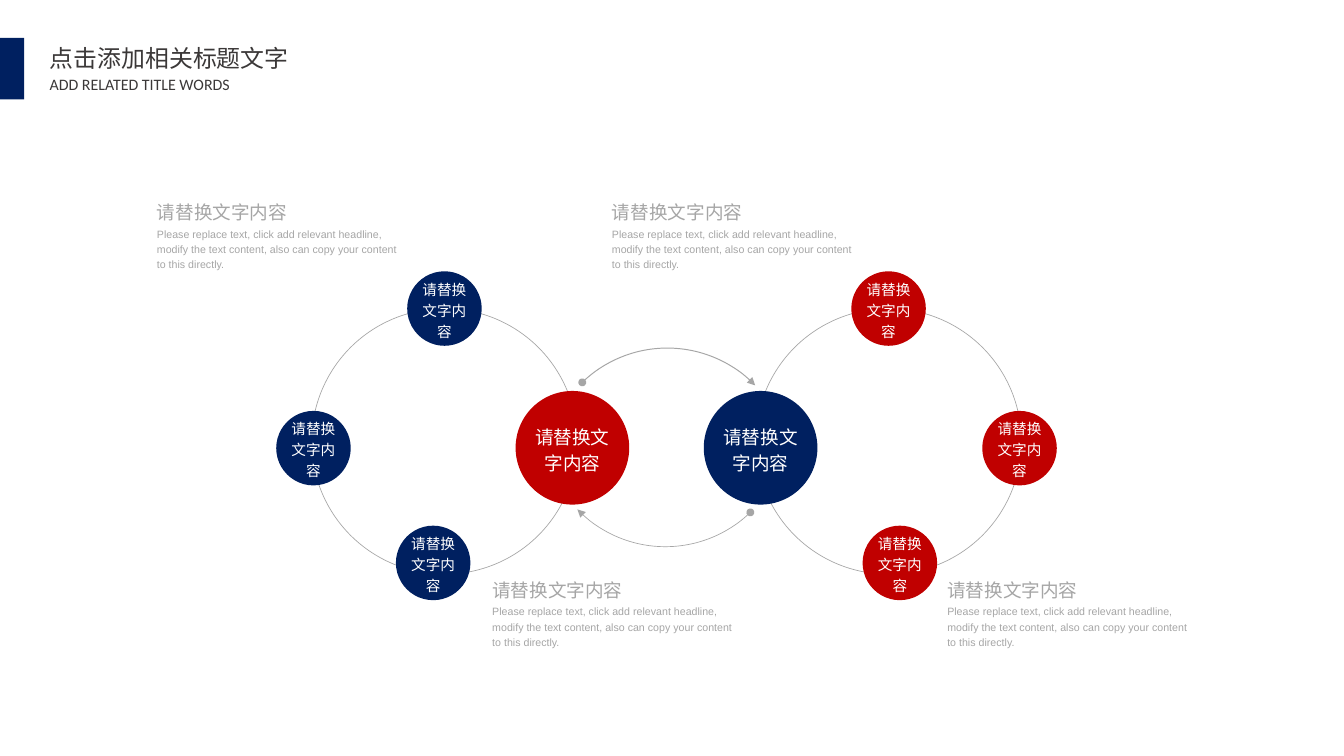
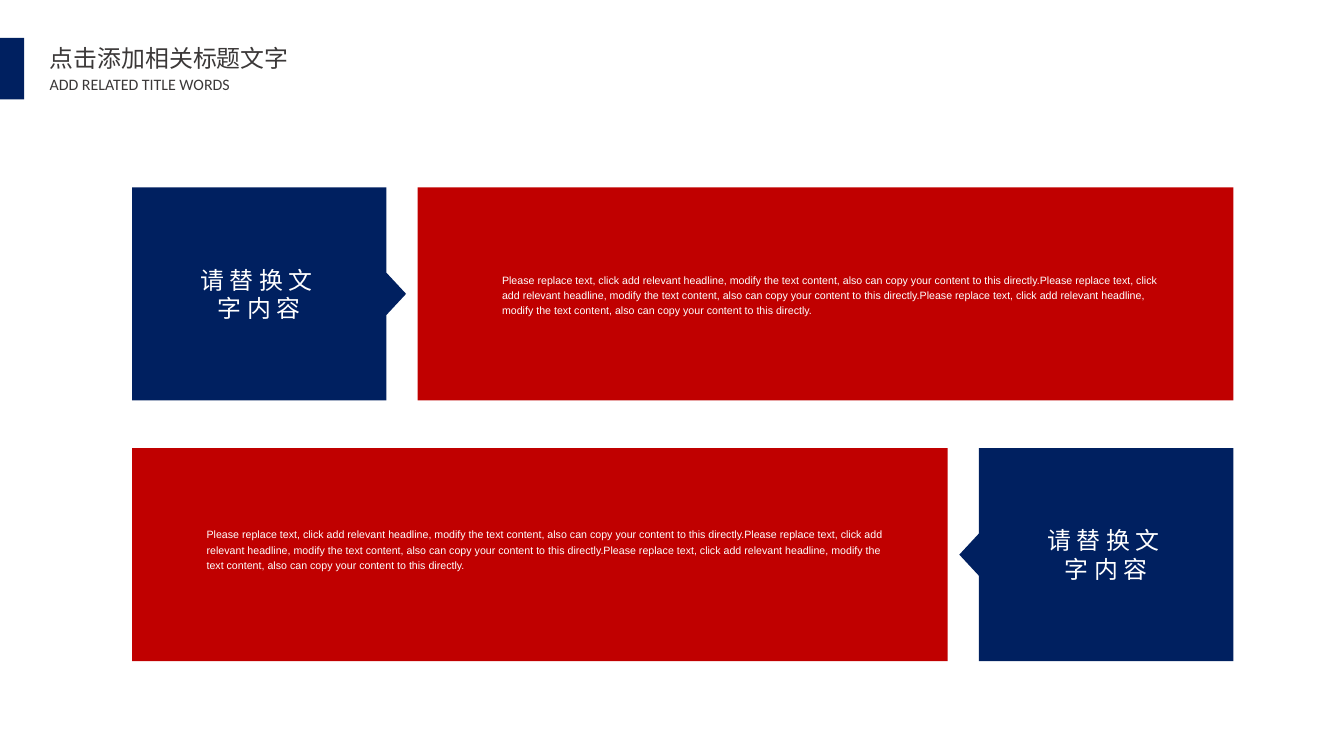
import pptx
import pptx.util
import pptx.dml.color
import pptx.enum.shapes
import pptx.enum.text
import pptx.oxml
import pptx.oxml.ns

Cm = pptx.util.Cm
Pt = pptx.util.Pt
RGB = pptx.dml.color.RGBColor
SHAPE = pptx.enum.shapes.MSO_SHAPE
ALIGN = pptx.enum.text.PP_ALIGN
ANCHOR = pptx.enum.text.MSO_ANCHOR
FIT = pptx.enum.text.MSO_AUTO_SIZE

NAVY = RGB(0x00, 0x20, 0x60)
RED = RGB(0xC0, 0x00, 0x00)
GREY = RGB(0xA6, 0xA6, 0xA6)
DARK = RGB(0x3B, 0x38, 0x38)
WHITE = RGB(0xFF, 0xFF, 0xFF)

LABEL = "请替换文字内容"
DETAIL = ("Please replace text, click add relevant headline, modify the text "
          "content, also can copy your content to this directly.")


class Deck:
    cjk = "Noto Sans CJK SC"

    def __init__(self, width, height):
        self.prs = pptx.Presentation()
        self.prs.slide_width = Cm(width)
        self.prs.slide_height = Cm(height)
        self.layout = self.prs.slide_layouts[5]
        self.s = None
        self.banded = False

    def slide(self, title, subtitle):
        self.s = self.prs.slides.add_slide(self.layout)
        if not self.banded:
            bar = self.shape(SHAPE.RECTANGLE, 0, 1.01, 0.64, 1.63, NAVY)
            self.layout.element.cSld.spTree.append(bar.element)
            self.banded = True
        sp = self.s.shapes.title
        sp.left, sp.top, sp.width, sp.height = map(Cm, (1.04, 1.04, 6.96, 1.04))
        heading = dict(color=DARK, wrap=False, inset=(0.28, 0.13), spacing=1,
                       fit=FIT.SHAPE_TO_FIT_TEXT)
        self.fill_text(sp, title, 18, font=self.cjk, **heading)
        self.text(subtitle, 1.04, 1.85, 6.53, 0.79, 12, font="Calibri", **heading)

    def fill_text(self, sp, text, size, color=WHITE, font="Arial", align=ALIGN.LEFT,
                  anchor=ANCHOR.TOP, wrap=True, inset=(0, 0), spacing=1.2,
                  fit=FIT.NONE, tracking=0):
        side, edge = map(Cm, inset)
        tf = sp.text_frame
        frame = dict(word_wrap=wrap, auto_size=fit, vertical_anchor=anchor,
                     margin_left=side, margin_right=side,
                     margin_top=edge, margin_bottom=edge)
        for name, value in frame.items():
            setattr(tf, name, value)
        p = tf.paragraphs[0]
        for name, value in dict(alignment=align, line_spacing=spacing).items():
            setattr(p, name, value)
        r = p.add_run()
        r.text = text
        for name, value in dict(size=Pt(size), name=font, bold=False).items():
            setattr(r.font, name, value)
        r.font.color.rgb = color
        rpr = r.font._element
        if tracking:
            rpr.set("spc", str(round(tracking * 100)))
        ea = pptx.oxml.parse_xml(
            f'<a:ea {pptx.oxml.ns.nsdecls("a")} typeface="{self.cjk}"/>')
        rpr.append(ea)

    def text(self, text, x, y, w, h, size, **fmt):
        sp = self.s.shapes.add_textbox(*map(Cm, (x, y, w, h)))
        self.fill_text(sp, text, size, **{"fit": FIT.SHAPE_TO_FIT_TEXT, **fmt})

    def shape(self, kind, x, y, w, h, fill=None, line=None, weight=0.5):
        sp = self.s.shapes.add_shape(kind, *map(Cm, (x, y, w, h)))
        sp.shadow.inherit = False
        if fill is None:
            sp.fill.background()
        else:
            sp.fill.solid()
            sp.fill.fore_color.rgb = fill
        if line is None:
            sp.line.fill.background()
        else:
            sp.line.color.rgb = line
            sp.line.width = Pt(weight)
        return sp

    def circle(self, cx, cy, d, fill=None, line=None, text=None, size=11):
        sp = self.shape(SHAPE.OVAL, cx - d / 2, cy - d / 2, d, d, fill, line)
        if text:
            self.fill_text(sp, text, size, align=ALIGN.CENTER, anchor=ANCHOR.MIDDLE)

    def arc(self, cx, cy, d, start, end, weight):
        sp = self.shape(SHAPE.ARC, cx - d / 2, cy - d / 2, d, d,
                        line=GREY, weight=weight)
        for i, angle in enumerate((start, end)):
            sp.adjustments[i] = angle * 0.6
        ln = sp.line._get_or_add_ln()
        for tag, kind in (("headEnd", "oval"), ("tailEnd", "triangle")):
            ln.append(pptx.oxml.parse_xml(
                f'<a:{tag} {pptx.oxml.ns.nsdecls("a")} type="{kind}"/>'))

    def callout(self, kind, x, y, w, h, body, text):
        sp = self.shape(kind, x, y, w, h, NAVY)
        short = min(w, h)
        for i, value in enumerate((0, 0.56 / short, (w - body) / short, body / w)):
            sp.adjustments[i] = value
        self.fill_text(sp, text, 18, align=ALIGN.CENTER, anchor=ANCHOR.MIDDLE,
                       inset=(1.66, 0), spacing=1, tracking=4.2)

    def note(self, x, y):
        self.text(DETAIL, x, y + 0.75, 6.55, 1.22, 8, color=GREY)
        self.text(LABEL, x, y, 3.48, 0.71, 14, color=GREY, wrap=False)


def cycles(deck):
    axis = 17.71
    satellites = ((9.38, 11.91), (5.9, 8.2), (6.2, 14.96))
    for side, hub, outer in ((-1, RED, NAVY), (1, NAVY, RED)):
        deck.circle(axis + side * 5.9, 11.73, 7.06, line=GREY)
        deck.circle(axis + side * 2.5, 11.9, 3.02, hub, text=LABEL, size=14)
        for dx, cy in satellites:
            deck.circle(axis + side * dx, cy, 1.98, outer, text=LABEL)
    deck.arc(17.73, 12.5, 6.5, 226, 316, 0.75)
    deck.arc(17.68, 11.28, 6.5, 46, 136, 0.5)
    for left, y in ((13.08, 15.27), (4.17, 5.23)):
        for col in range(2):
            deck.note(left + col * 12.09, y)


def panels(deck):
    left, right, height = 3.51, 32.77, 5.66
    panel, callout, body = 21.67, 7.28, 6.76
    rows = (
        (4.98, right - panel, left, SHAPE.RIGHT_ARROW_CALLOUT, 13.34, 7.21, 17.5),
        (11.91, left, right - callout, SHAPE.LEFT_ARROW_CALLOUT, 5.49, 13.97, 18.29),
    )
    for y, panel_x, callout_x, kind, text_x, text_y, text_w in rows:
        deck.shape(SHAPE.RECTANGLE, panel_x, y, panel, height, RED)
        deck.callout(kind, callout_x, y, callout, height, body, LABEL)
        deck.text(DETAIL * 3, text_x, text_y, text_w, 1.22, 8)


def main():
    deck = Deck(35.71, 20.09)
    for build in (cycles, panels):
        deck.slide("点击添加相关标题文字", "ADD RELATED TITLE WORDS")
        build(deck)
    deck.prs.save("out.pptx")


if __name__ == "__main__":
    main()
